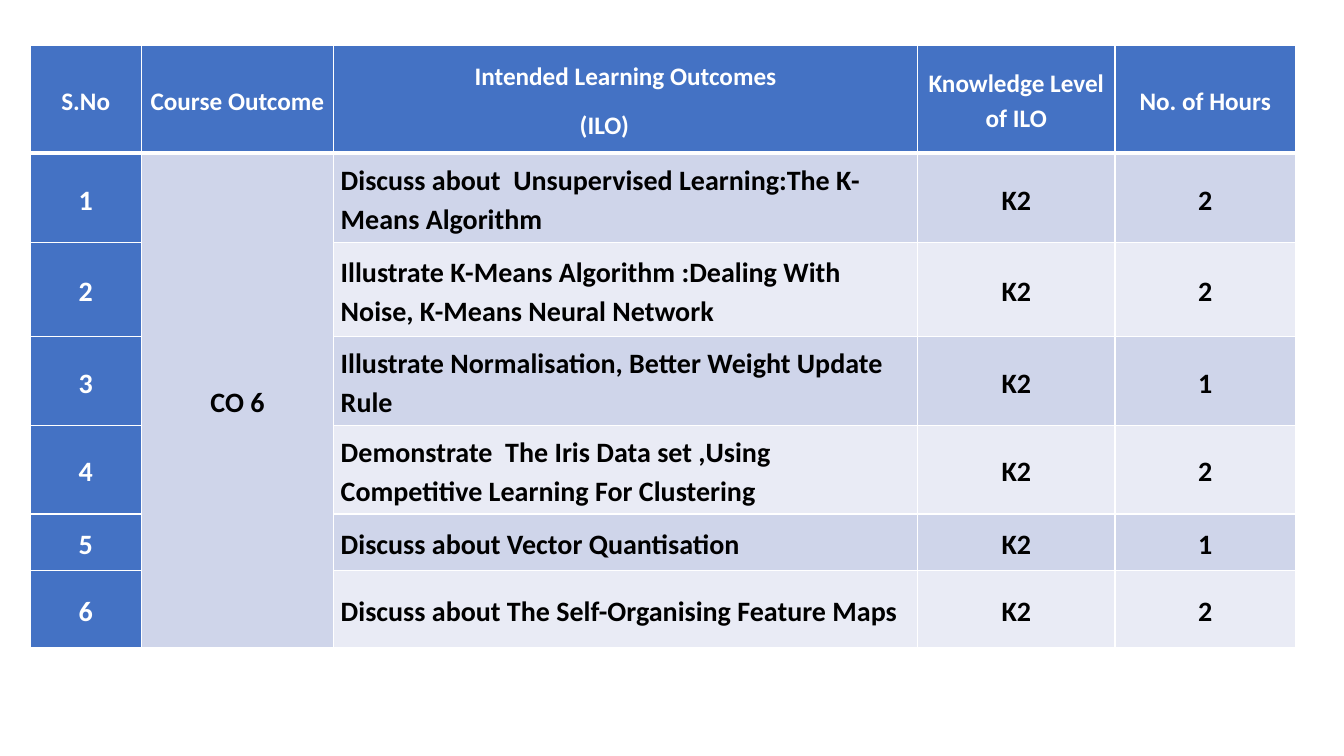
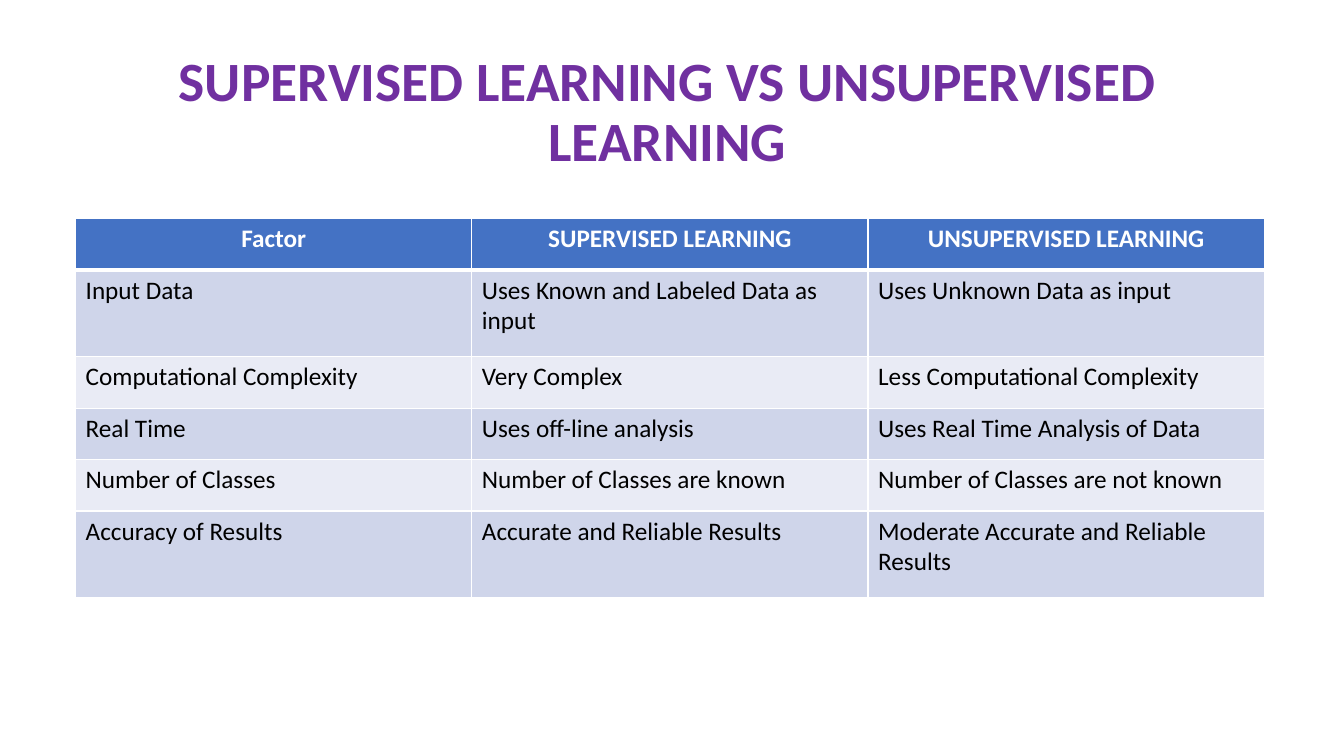
"""Build two slides: course outcomes and a comparison of learning types."""
from lxml import etree
from pptx import Presentation, util as u
from pptx.dml.color import RGBColor
from pptx.enum import text
from pptx.oxml.ns import qn

FONT = "Calibri"
BLUE, WHITE, BLACK, PURPLE = "4472C4", "FFFFFF", "000000", "7030A0"
BANDS = ("CFD5EA", "E9EBF5")
CENTER, LEFT = text.PP_ALIGN.CENTER, text.PP_ALIGN.LEFT
MIDDLE, TOP = text.MSO_ANCHOR.MIDDLE, text.MSO_ANCHOR.TOP

OUTCOMES = [
    ("S.No", "Course Outcome", "Intended Learning Outcomes\n(ILO)",
     "Knowledge Level of ILO", "No. of Hours"),
    ("1", "CO 6", "Discuss about  Unsupervised Learning:The K-Means Algorithm", "K2", "2"),
    ("2", "", "Illustrate K-Means Algorithm :Dealing With Noise, K-Means Neural Network", "K2", "2"),
    ("3", "", "Illustrate Normalisation, Better Weight Update Rule", "K2", "1"),
    ("4", "", "Demonstrate  The Iris Data set ,Using Competitive Learning For Clustering", "K2", "2"),
    ("5", "", "Discuss about Vector Quantisation", "K2", "1"),
    ("6", "", "Discuss about The Self-Organising Feature Maps", "K2", "2"),
]
OUTCOME_LAYOUT = dict(
    left=0.3, top=0.45, widths=[1.1, 1.91, 5.79, 1.96, 1.79],
    heights=[1.07, 0.89, 0.93, 0.88, 0.88, 0.56, 0.77],
    anchor=MIDDLE, insets=(0.07, 0), spacing=(1.15, 10), body_size=20, bold=True,
    left_columns={2}, blue_columns={0})
ILO_INDENT = 2.37

TITLE = "SUPERVISED LEARNING VS UNSUPERVISED LEARNING"
COMPARISON = [
    ("Factor", "SUPERVISED LEARNING", "UNSUPERVISED LEARNING"),
    ("Input Data", "Uses Known and Labeled Data as input", "Uses Unknown Data as input"),
    ("Computational Complexity", "Very Complex", "Less Computational Complexity"),
    ("Real Time", "Uses off-line analysis", "Uses Real Time Analysis of Data"),
    ("Number of Classes", "Number of Classes are known", "Number of Classes are not known"),
    ("Accuracy of Results", "Accurate and Reliable Results",
     "Moderate Accurate and Reliable Results"),
]
COMPARISON_LAYOUT = dict(
    left=0.75, top=2.17, widths=[3.93] * 3, heights=[0.51, 0.86, 0.51, 0.51, 0.51, 0.86],
    anchor=TOP, insets=(0.1, 0.05), spacing=(1.0, 0), body_size=18, bold=False,
    left_columns={0, 1, 2}, blue_columns=set())


def color(value):
    return RGBColor.from_string(value)


def style_paragraph(paragraph, size, fill, bold, align, spacing):
    font = paragraph.font
    font.name, font.size, font.bold = FONT, u.Pt(size), bold
    font.color.rgb = color(fill)
    paragraph.alignment = align
    paragraph.line_spacing, after = spacing
    paragraph.space_after = u.Pt(after)


def set_borders(cell, row):
    properties = cell._tc.get_or_add_tcPr()
    widths = {"lnL": 1, "lnR": 1, "lnT": 3 if row == 1 else 1, "lnB": 3 if row == 0 else 1}
    for side, points in widths.items():
        line = etree.SubElement(properties, qn("a:" + side), w=str(u.Pt(points)))
        fill = etree.SubElement(line, qn("a:solidFill"))
        etree.SubElement(fill, qn("a:srgbClr"), val=WHITE)


def add_grid(slide, rows, left, top, widths, heights, anchor, insets, spacing,
             body_size, bold, left_columns, blue_columns):
    frame = slide.shapes.add_table(
        len(rows), len(widths), u.Inches(left), u.Inches(top),
        u.Inches(sum(widths)), u.Inches(sum(heights)))
    table = frame.table
    for column, width in zip(table.columns, widths):
        column.width = u.Inches(width)
    for table_row, height in zip(table.rows, heights):
        table_row.height = u.Inches(height)
    for row, values in enumerate(rows):
        for column, value in enumerate(values):
            cell = table.cell(row, column)
            header = row == 0
            blue = header or column in blue_columns
            set_borders(cell, row)
            cell.fill.solid()
            cell.fill.fore_color.rgb = color(BLUE if blue else BANDS[(row - 1) % 2])
            cell.margin_left = cell.margin_right = u.Inches(insets[0])
            cell.margin_top = cell.margin_bottom = u.Inches(insets[1])
            cell.vertical_anchor = anchor
            cell.text = value
            align = LEFT if column in left_columns and not header else CENTER
            for paragraph in cell.text_frame.paragraphs:
                style_paragraph(paragraph, 18 if header else body_size,
                                WHITE if blue else BLACK, header or bold, align, spacing)
    return table


def add_title(slide, value):
    box = slide.shapes.add_textbox(u.Inches(0.44), u.Inches(0.4), u.Inches(12.36), u.Inches(1.45))
    frame = box.text_frame
    frame.word_wrap = True
    frame.vertical_anchor = MIDDLE
    frame.margin_left = frame.margin_right = u.Inches(0.2)
    frame.text = value
    style_paragraph(frame.paragraphs[0], 39.6, PURPLE, True, CENTER, (0.9, 0))


presentation = Presentation()
presentation.slide_width, presentation.slide_height = u.Inches(13.33), u.Inches(7.5)
blank = presentation.slide_layouts[6]

outcomes = add_grid(presentation.slides.add_slide(blank), OUTCOMES, **OUTCOME_LAYOUT)
outcomes.cell(1, 1).merge(outcomes.cell(len(OUTCOMES) - 1, 1))
ilo = outcomes.cell(0, 2).text_frame.paragraphs[1]
ilo.alignment = LEFT
ilo._p.get_or_add_pPr().set("marL", str(u.Inches(ILO_INDENT)))

comparison_slide = presentation.slides.add_slide(blank)
add_title(comparison_slide, TITLE)
add_grid(comparison_slide, COMPARISON, **COMPARISON_LAYOUT)

presentation.save("out.pptx")
